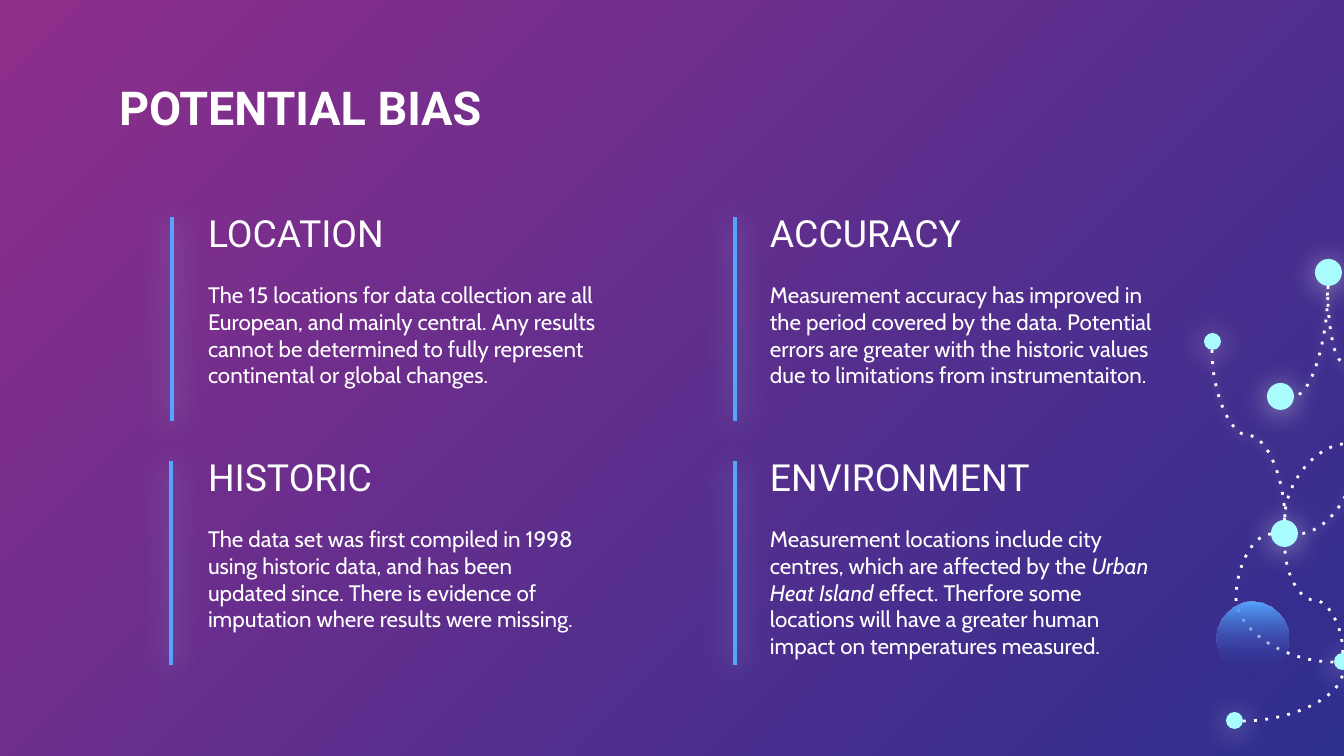
from lxml.etree import SubElement
from pptx import Presentation
from pptx.dml.color import RGBColor
from pptx.enum.shapes import MSO_CONNECTOR as CONN, MSO_SHAPE as SHAPE
from pptx.enum.text import MSO_ANCHOR as ANCHOR, PP_ALIGN as ALIGN
from pptx.oxml.ns import qn
from pptx.util import Pt

PX = 914400 / 134.4
WHITE = RGBColor(0xFF, 0xFF, 0xFF)
CYAN = RGBColor(0xAA, 0xFD, 0xFF)
BLUE = RGBColor(0x55, 0xA4, 0xFF)
PURPLE = RGBColor(0x8F, 0x2E, 0x8B)
NAVY = RGBColor(0x2E, 0x2E, 0x8F)


def px(*values):
    return [round(v * PX) for v in values]


def add_effects(shape, color=None, blur=15.8):
    effects = SubElement(shape._element.spPr, qn("a:effectLst"))
    if color is not None:
        shadow = SubElement(effects, qn("a:outerShdw"), blurRad=str(Pt(blur)), dist=str(Pt(1.5)),
                            dir="5400000", algn="bl", rotWithShape="0")
        clr = SubElement(shadow, qn("a:srgbClr"), val=str(color))
        SubElement(clr, qn("a:alpha"), val="50000")


prs = Presentation()
prs.slide_width, prs.slide_height = px(1344, 756)
s = prs.slides.add_slide(prs.slide_layouts[5])

fill = s.background.fill
fill.gradient()
fill.gradient_angle = 315
for stop, color in zip(fill.gradient_stops, (PURPLE, NAVY)):
    stop.color.rgb = color

curves = [
    (1278, 450, 77, 64, 270, False, 2, None, False),
    (1163, 399, 171, 73, 270, True, 3, 50000, True),
    (1267, 347, 149, 28, 90, True, 3, 50000, True),
    (1286, 464, 81, 59, 90, False, 2, None, True),
    (1256, 324, 110, 34, 90, False, 2, None, True),
    (1271, 534, 63, 128, 0, False, 3, -55500, False),
    (1243, 671, 100, 50, 180, True, 2, None, False),
    (1261, 571, 106, 58, 90, True, 3, 50000, False),
]
for x, y, w, h, angle, flip, kind, adj, glow in curves:
    x1, x2 = (x + w, x) if flip else (x, x + w)
    c = s.shapes.add_connector(CONN.CURVE, *px(x1, y, x2, y + h))
    c.line.color.rgb = WHITE
    c.line.width = Pt(1.5)
    sp_pr = c._element.spPr
    sp_pr.find(qn("a:xfrm")).set("rot", str(angle * 60000))
    geom = sp_pr.find(qn("a:prstGeom"))
    geom.set("prst", f"curvedConnector{kind}")
    if adj is not None:
        SubElement(geom.find(qn("a:avLst")), qn("a:gd"), name="adj1", fmla=f"val {adj}")
    SubElement(sp_pr.find(qn("a:ln")), qn("a:prstDash"), val="dot")
    add_effects(c, WHITE if glow else None, 4.5)

nodes = [(1267, 383, 27), (1271, 520, 27), (1204, 333, 17),
         (1315, 259, 27), (1334, 653, 17), (1226, 712, 17)]
for x, y, d in nodes:
    node = s.shapes.add_shape(SHAPE.OVAL, *px(x, y, d, d))
    node.fill.solid()
    node.fill.fore_color.rgb = CYAN
    node.line.fill.background()
    add_effects(node, WHITE)

ball = s.shapes.add_shape(SHAPE.OVAL, *px(1216, 602, 72, 72))
ball.fill.gradient()
ball.fill.gradient_angle = 270
for stop, color in zip(ball.fill.gradient_stops, (BLUE, NAVY)):
    stop.color.rgb = color
SubElement(ball._element.spPr.xpath(".//a:srgbClr")[1], qn("a:alpha"), val="0")
ball.line.fill.background()
add_effects(ball)

title = s.shapes.title
title.left, title.top, title.width, title.height = px(106, 66, 1133, 85)
texts = [(title, ["POTENTIAL BIAS"], ANCHOR.TOP, dict(name="Roboto", size=Pt(25), bold=True))]

cards = [
    (195, 212, 172, 477, "LOCATION",
     ["The 15 locations for data collection are all European, and mainly central. "
      "Any results cannot be determined to fully represent continental or global changes."]),
    (757, 212, 735, 413, "ACCURACY",
     ["Measurement accuracy has improved in the period covered by the data. Potential errors "
      "are greater with the historic values due to limitations from instrumentaiton."]),
    (195, 456, 171, 413, "HISTORIC",
     ["The data set was first compiled in 1998 using historic data, and has been updated since. "
      "There is evidence of imputation where results were missing."]),
    (757, 456, 735, 413, "ENVIRONMENT",
     ["Measurement locations include city centres, which are affected by the ",
      "Urban Heat Island",
      " effect. Therfore some locations will have a greater human impact on temperatures measured."]),
]
for x, y, bar_x, body_w, heading, body in cards:
    bar = s.shapes.add_connector(CONN.STRAIGHT, *px(bar_x, y + 5, bar_x, y + 209))
    bar.line.color.rgb = BLUE
    bar.line.width = Pt(2.25)
    add_effects(bar, CYAN)
    head_box = s.shapes.add_textbox(*px(x, y, 413, 56))
    body_box = s.shapes.add_textbox(*px(x, y + 56, body_w, 140))
    texts.append((head_box, [heading], ANCHOR.BOTTOM, dict(name="Roboto", size=Pt(20))))
    texts.append((body_box, body, ANCHOR.TOP, dict(name="Cabin", size=Pt(12))))

inset, = px(13)
for box, runs, anchor, font in texts:
    tf = box.text_frame
    frame = dict(word_wrap=True, vertical_anchor=anchor, margin_left=inset, margin_right=inset,
                 margin_top=inset, margin_bottom=inset)
    for key, value in frame.items():
        setattr(tf, key, value)
    p = tf.paragraphs[0]
    p.alignment = ALIGN.LEFT
    for i, text in enumerate(runs):
        r = p.add_run()
        r.text = text
        for key, value in font.items():
            setattr(r.font, key, value)
        r.font.italic = i == 1
        r.font.color.rgb = WHITE

prs.save("out.pptx")
